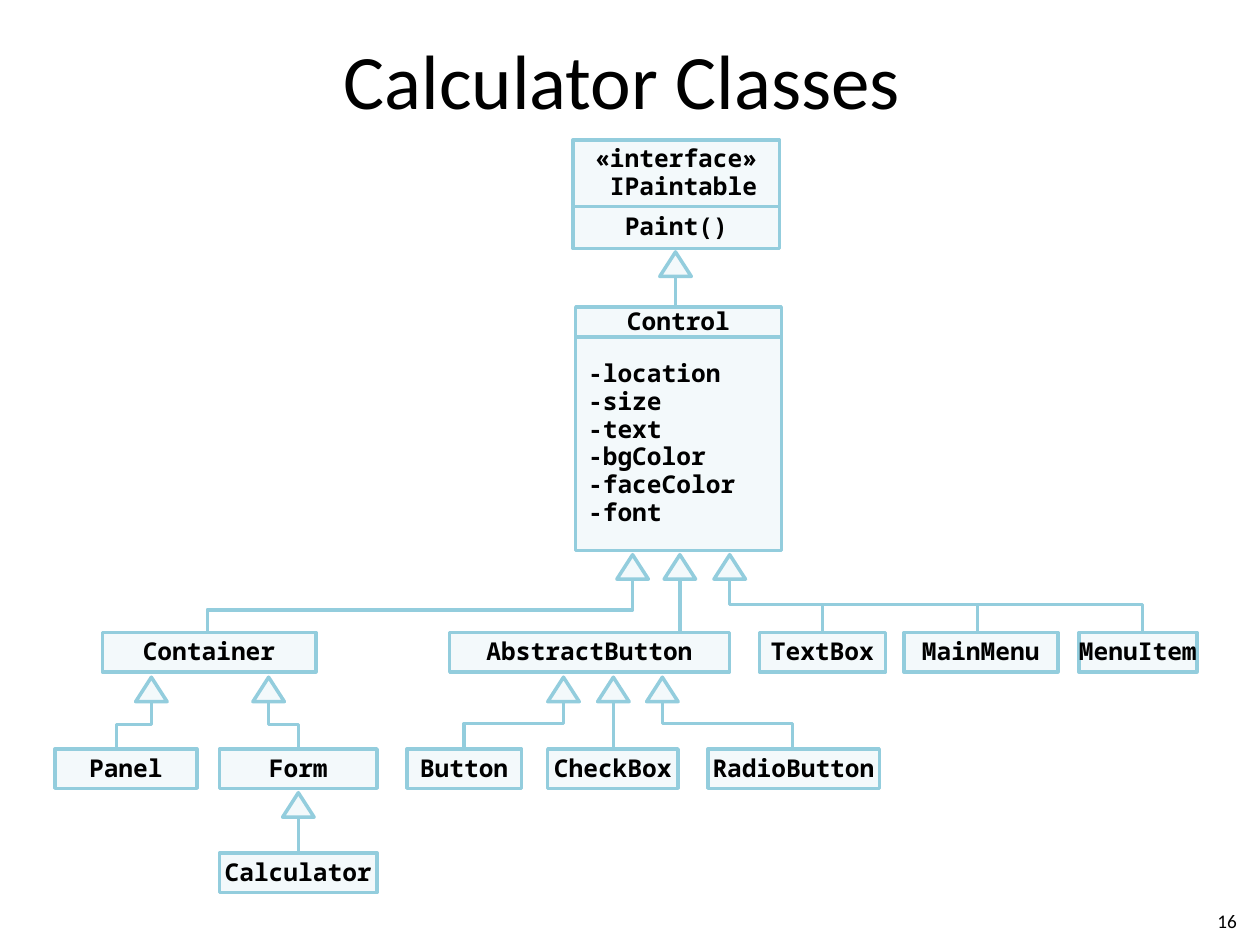
from typing import NamedTuple, Optional

from lxml.etree import SubElement
from pptx import Presentation
from pptx.dml.color import RGBColor
from pptx.enum.shapes import MSO_CONNECTOR as Connector, MSO_SHAPE as Preset
from pptx.enum.text import MSO_ANCHOR as Anchor, PP_ALIGN as Align
from pptx.oxml.ns import qn
from pptx.util import Pt

BLACK = RGBColor(0x00, 0x00, 0x00)
LINE_BLUE = RGBColor(0x93, 0xCD, 0xDD)
FILL_BLUE = RGBColor(0xB5, 0xDB, 0xE5)
FILL_OPACITY = 15000  # thousandths of a percent
LINE_WIDTH = 2
HEAD_WIDTH, HEAD_HEIGHT = 18, 14
ROW_HEIGHT = 22.5
CHILD_TOP, LEAF_TOP, LAST_TOP = 361.5, 428, 487.5


class ClassBox(NamedTuple):
    text: str
    left: float
    top: float
    width: float
    height: float = ROW_HEIGHT
    align: Align = Align.CENTER


class Inheritance(NamedTuple):
    tip_x: float
    tip_y: float
    child_x: float
    child_top: float
    bend_y: Optional[float] = None


BOXES = [
    ClassBox("«interface»\n IPaintable", 327.5, 80, 118, 38),
    ClassBox("Paint()", 327.5, 118, 118, 24),
    ClassBox("Control", 329, 175.5, 117.5, 17),
    ClassBox("-location\n-size\n-text\n-bgColor\n-faceColor\n-font",
             329, 192.5, 117.5, 122, Align.LEFT),
    ClassBox("Container", 58.5, CHILD_TOP, 122),
    ClassBox("AbstractButton", 257, CHILD_TOP, 160),
    ClassBox("TextBox", 434, CHILD_TOP, 72),
    ClassBox("MainMenu", 516.5, CHILD_TOP, 88),
    ClassBox("MenuItem", 616.5, CHILD_TOP, 67.5),
    ClassBox("Panel", 31.5, LEAF_TOP, 81),
    ClassBox("Form", 125.5, LEAF_TOP, 90),
    ClassBox("Button", 232.5, LEAF_TOP, 65.5),
    ClassBox("CheckBox", 313, LEAF_TOP, 74.5),
    ClassBox("RadioButton", 404.5, LEAF_TOP, 98),
    ClassBox("Calculator", 125.5, LAST_TOP, 90),
]

MENU_BEND = 345.5
INHERITANCES = [
    Inheritance(386, 144, 386, 175.5),
    Inheritance(361.5, 317, 118.5, CHILD_TOP, 348.5),
    Inheritance(388.5, 317, 388.5, CHILD_TOP),
    Inheritance(417, 317, 653, CHILD_TOP, MENU_BEND),
    Inheritance(86.5, 387, 66.5, LEAF_TOP, 414),
    Inheritance(153.5, 387, 170.5, LEAF_TOP, 414),
    Inheritance(322, 387, 265, LEAF_TOP, 413.5),
    Inheritance(350.5, 387, 350.5, LEAF_TOP),
    Inheritance(378.5, 387, 453, LEAF_TOP, 413.5),
    Inheritance(170.5, 453, 170.5, LAST_TOP),
]
MENU_BRANCHES = [470, 558.5]


def style_line(shape) -> None:
    shape.line.color.rgb = LINE_BLUE
    shape.line.width = Pt(LINE_WIDTH)


def style_area(shape) -> None:
    shape.shadow.inherit = False
    style_line(shape)
    shape.fill.solid()
    shape.fill.fore_color.rgb = FILL_BLUE
    color = shape.fill._xPr.find(qn("a:solidFill"))[0]
    SubElement(color, qn("a:alpha"), val=str(FILL_OPACITY))


def style_text(frame, font: str, size: float, align: Align, bold: bool = False) -> None:
    for para in frame.paragraphs:
        para.alignment = align
        for span in para.runs:
            span.font.name = font
            span.font.size = Pt(size)
            span.font.bold = bold
            span.font.color.rgb = BLACK


def draw_label(page, text: str, left: float, top: float, width: float,
               height: float, size: float, align: Align):
    box = page.shapes.add_textbox(Pt(left), Pt(top), Pt(width), Pt(height))
    frame = box.text_frame
    frame.word_wrap = True
    frame.text = text
    style_text(frame, "Calibri", size, align)
    return frame


def draw_class(page, item: ClassBox) -> None:
    box = page.shapes.add_shape(Preset.RECTANGLE, Pt(item.left), Pt(item.top),
                                Pt(item.width), Pt(item.height))
    style_area(box)
    frame = box.text_frame
    frame.text = item.text
    frame.word_wrap = item.align == Align.LEFT
    frame.vertical_anchor = Anchor.MIDDLE
    frame.margin_top = frame.margin_bottom = 0
    style_text(frame, "Noto Sans Mono", 14, item.align, bold=True)
    for para in frame.paragraphs:
        para.line_spacing = 0.95


def draw_outline(page, points: list[tuple[float, float]], close: bool):
    start, *rest = [(Pt(x), Pt(y)) for x, y in points]
    builder = page.shapes.build_freeform(*start)
    builder.add_line_segments(rest, close=close)
    return builder.convert_to_shape()


def draw_vertical(page, x: float, top: float, bottom: float) -> None:
    line = page.shapes.add_connector(Connector.STRAIGHT, Pt(x), Pt(top), Pt(x), Pt(bottom))
    style_line(line)
    SubElement(line._element.spPr, qn("a:effectLst"))


def draw_inheritance(page, link: Inheritance) -> None:
    base = link.tip_y + HEAD_HEIGHT
    if link.bend_y is None:
        draw_vertical(page, link.tip_x, base, link.child_top)
    else:
        elbow = draw_outline(page, [(link.tip_x, base), (link.tip_x, link.bend_y),
                                    (link.child_x, link.bend_y),
                                    (link.child_x, link.child_top)], close=False)
        elbow.shadow.inherit = False
        elbow.fill.background()
        style_line(elbow)
    half = HEAD_WIDTH / 2
    style_area(draw_outline(page, [(link.tip_x - half, base), (link.tip_x + half, base),
                                   (link.tip_x, link.tip_y)], close=True))


def main() -> None:
    deck = Presentation()
    deck.slide_width, deck.slide_height = Pt(720), Pt(540)
    page = deck.slides.add_slide(deck.slide_layouts[6])

    # Title, nudged left by a wider right margin, and page number
    title = draw_label(page, "Calculator Classes", 36.5, 0, 648, 90, 44, Align.CENTER)
    title.vertical_anchor = Anchor.MIDDLE
    title.margin_right = Pt(17)
    draw_label(page, "16", 678, 516, 36, 18, 11, Align.RIGHT)

    # Classes
    for item in BOXES:
        draw_class(page, item)

    # Inheritance arrows and the extra branches of the right-hand one
    for link in INHERITANCES:
        draw_inheritance(page, link)
    for x in MENU_BRANCHES:
        draw_vertical(page, x, MENU_BEND, CHILD_TOP)

    deck.save("out.pptx")


if __name__ == "__main__":
    main()
